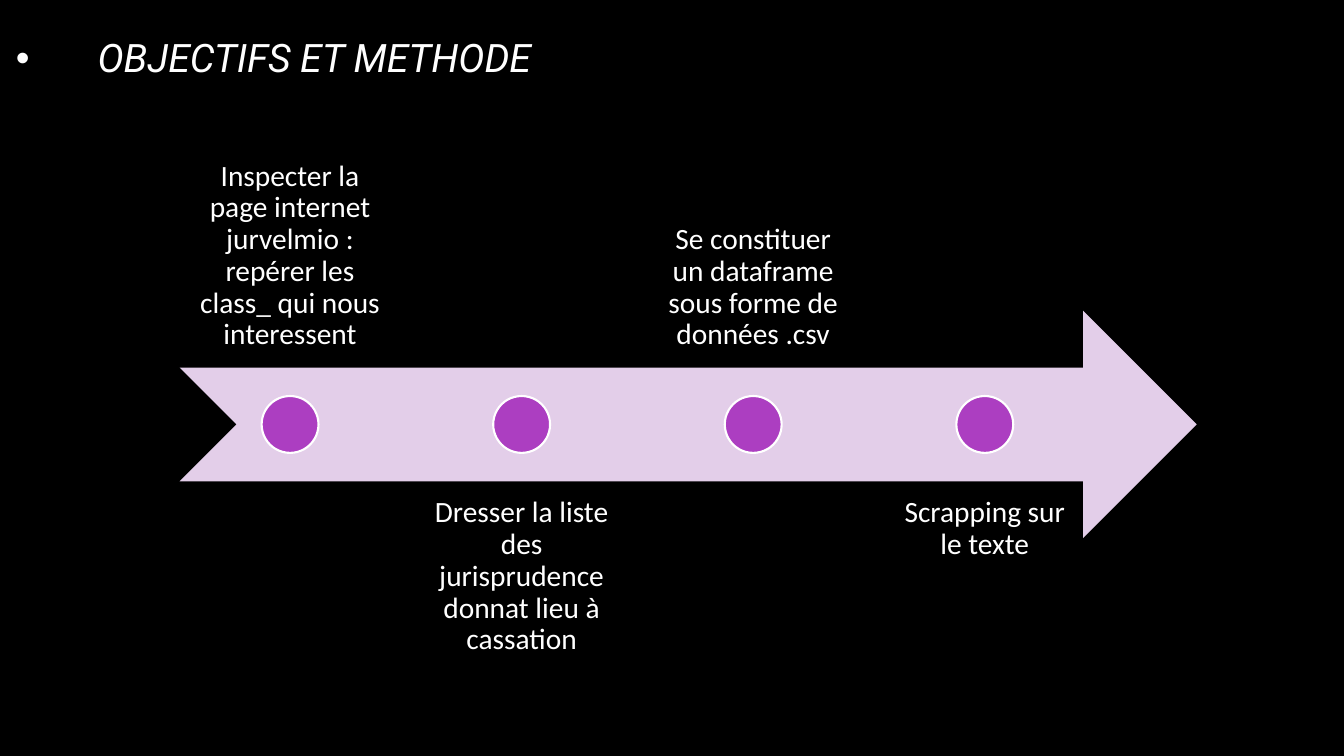
from dataclasses import dataclass

from lxml import etree
from pptx import Presentation
from pptx import util as u
from pptx.dml.color import RGBColor
from pptx.enum import shapes, text
from pptx.oxml.ns import qn


@dataclass(frozen=True)
class Theme:
    background: str = "000000"
    ink: str = "FFFFFF"
    arrow: str = "E3CEE9"
    milestone: str = "AC3EC1"
    title_font: str = "Roboto"
    body_font: str = "Calibri"
    title_size: int = 28
    body_size: int = 21
    outline: float = 1.5


THEME = Theme()
STEPS = [
    "Inspecter la page internet jurvelmio : repérer les class_ qui nous interessent",
    "Dresser la liste des jurisprudence donnat lieu à cassation",
    "Se constituer un dataframe sous forme de données .csv",
    "Scrapping sur le texte",
]


def place(shape, left, top, width, height):
    shape.left, shape.top = u.Cm(left), u.Cm(top)
    shape.width, shape.height = u.Cm(width), u.Cm(height)


def write(frame, words, *, font, size, align, anchor, italic=False,
          insets=(0.25, 0.13, 0.25, 0.13)):
    """Fill a text frame; insets run left, top, right, bottom in cm."""
    frame.word_wrap = True
    frame.auto_size = text.MSO_AUTO_SIZE.NONE
    frame.vertical_anchor = anchor
    (frame.margin_left, frame.margin_top,
     frame.margin_right, frame.margin_bottom) = map(u.Cm, insets)
    paragraph = frame.paragraphs[0]
    paragraph.alignment = align
    paragraph.line_spacing = 0.9
    run = paragraph.add_run()
    run.text = words
    run.font.name, run.font.size, run.font.italic = font, u.Pt(size), italic
    run.font.color.rgb = RGBColor.from_string(THEME.ink)
    return paragraph


def add_bullet(paragraph, indent):
    properties = paragraph._p.get_or_add_pPr()
    properties.set("marL", str(u.Cm(indent)))
    properties.set("indent", str(-u.Cm(indent)))
    etree.SubElement(properties, qn("a:buFont")).set("typeface", "Arial")
    etree.SubElement(properties, qn("a:buChar")).set("char", "•")


def add_title(slide, left, top, width, height):
    title = slide.shapes.title
    place(title, left, top, width, height)
    heading = write(title.text_frame, "OBJECTIFS ET METHODE",
                    font=THEME.title_font, size=THEME.title_size, italic=True,
                    align=text.PP_ALIGN.LEFT, anchor=text.MSO_ANCHOR.MIDDLE,
                    insets=(0.25, 0.13, 0.25, 1.2))
    add_bullet(heading, 2.06)


def add_solid(parent, kind, fill, left, top, width, height):
    solid = parent.shapes.add_shape(kind, *map(u.Cm, (left, top, width, height)))
    solid.shadow.inherit = False
    solid.fill.solid()
    solid.fill.fore_color.rgb = RGBColor.from_string(fill)
    solid.line.fill.background()
    return solid


def add_timeline(slide, steps, left, top, width, height):
    """Draw an arrow with milestones, their labels alternating above and below."""
    timeline = slide.shapes.add_group_shape()
    band = 0.4 * height
    add_solid(timeline, shapes.MSO_SHAPE.NOTCHED_RIGHT_ARROW, THEME.arrow,
              left, top + 0.3 * height, width, band)

    # Labels share 90 % of the arrow, with gaps of 5 % of a label.
    label_width = 0.9 * width / (len(steps) + 0.05 * (len(steps) - 1))
    diameter = band / 4
    for index, step in enumerate(steps):
        label_left = left + index * 1.05 * label_width
        above = index % 2 == 0
        label = timeline.shapes.add_textbox(0, 0, 0, 0)
        place(label, label_left, top if above else top + height - band,
              label_width, band)
        write(label.text_frame, step, font=THEME.body_font, size=THEME.body_size,
              align=text.PP_ALIGN.CENTER,
              anchor=text.MSO_ANCHOR.BOTTOM if above else text.MSO_ANCHOR.TOP,
              insets=(0.41,) * 4)
        milestone = add_solid(timeline, shapes.MSO_SHAPE.OVAL, THEME.milestone,
                              label_left + (label_width - diameter) / 2,
                              top + (height - diameter) / 2, diameter, diameter)
        milestone.line.color.rgb = RGBColor.from_string(THEME.ink)
        milestone.line.width = u.Pt(THEME.outline)


def main():
    deck = Presentation()
    deck.slide_width, deck.slide_height = u.Cm(33.87), u.Cm(19.05)
    slide = deck.slides.add_slide(deck.slide_layouts.get_by_name("Title Only"))
    slide.background.fill.solid()
    slide.background.fill.fore_color.rgb = RGBColor.from_string(THEME.background)
    add_title(slide, 0.15, 0.03, 28.14, 4.04)
    add_timeline(slide, STEPS, 4.53, 3.53, 25.63, 14.33)
    deck.save("out.pptx")


if __name__ == "__main__":
    main()
